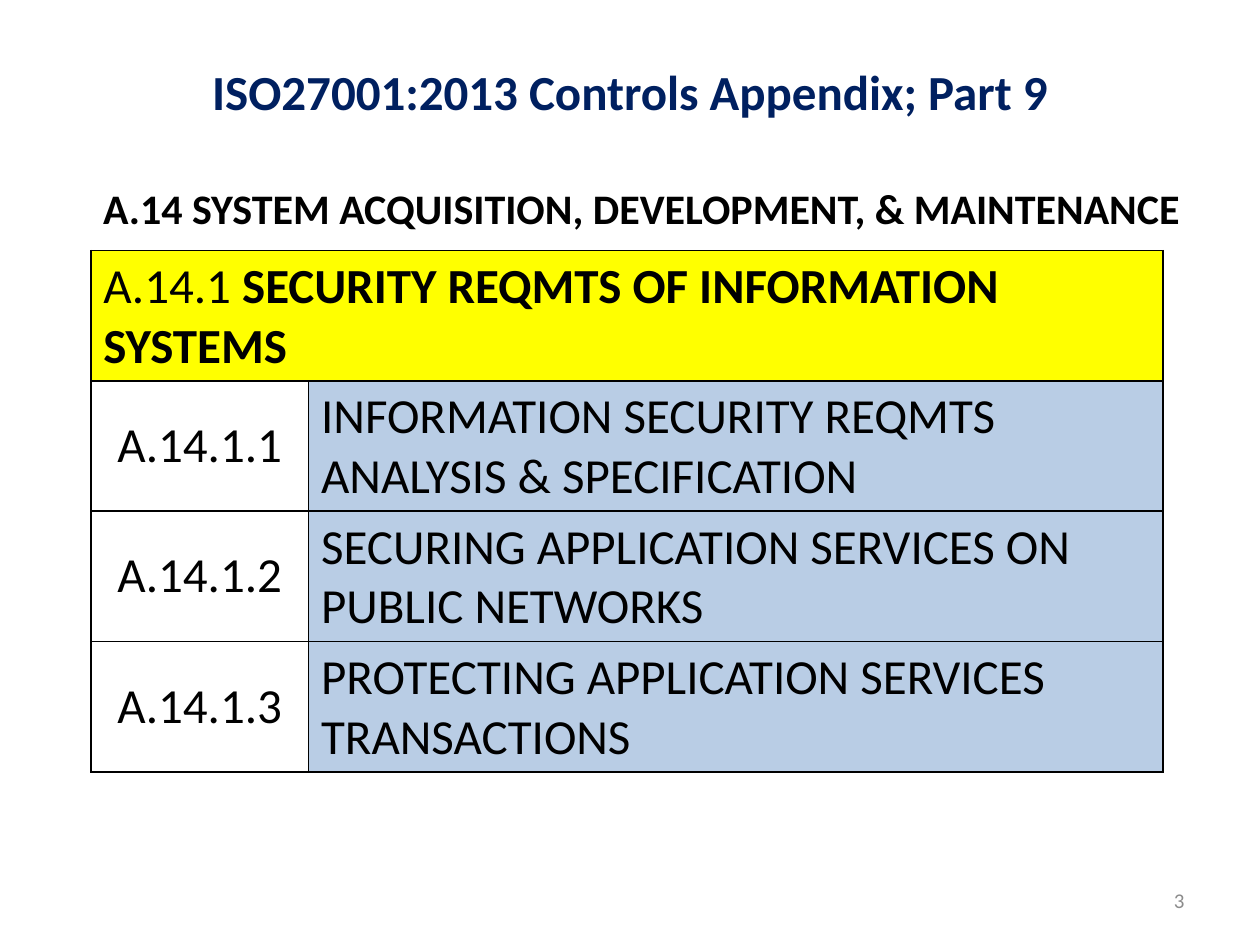
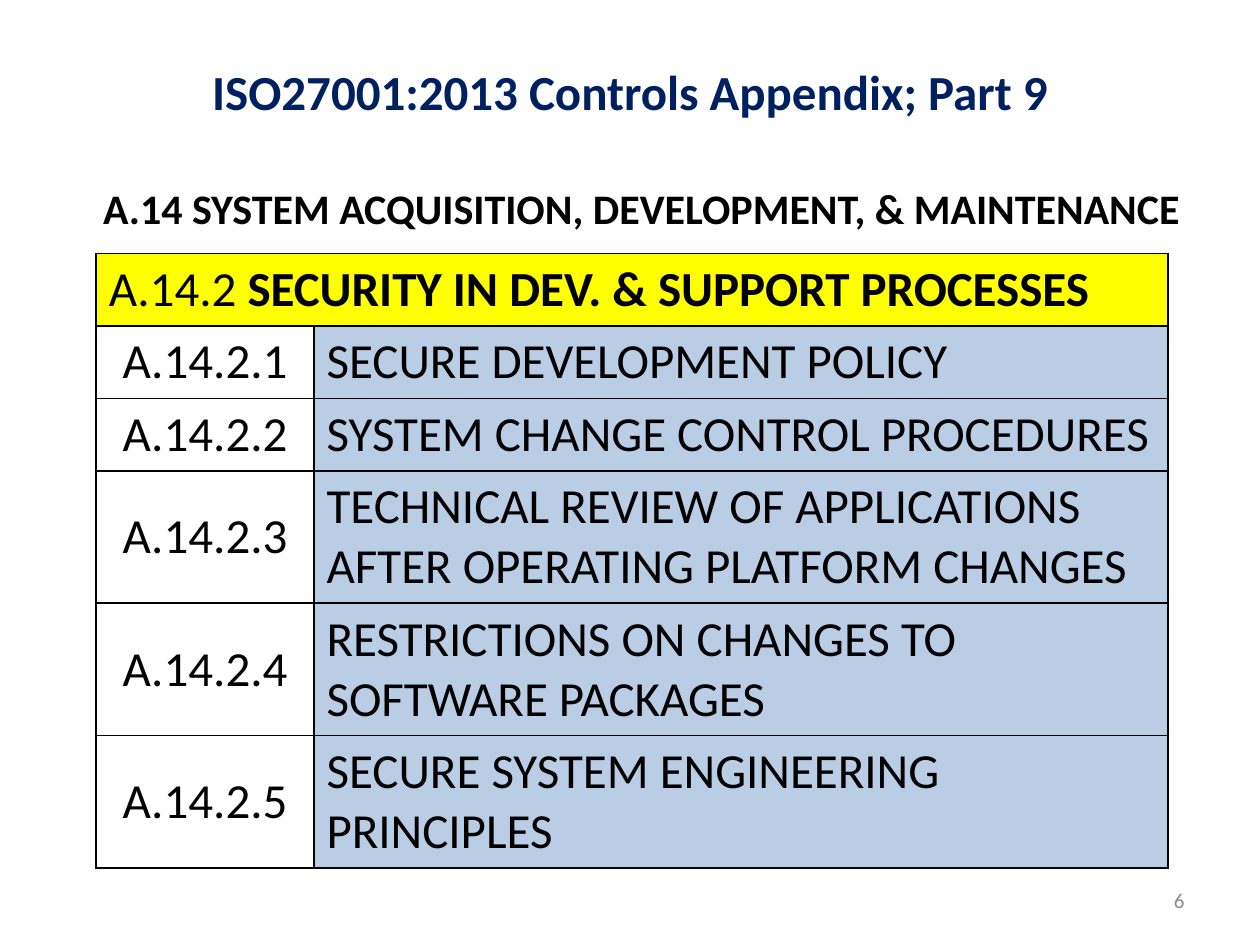
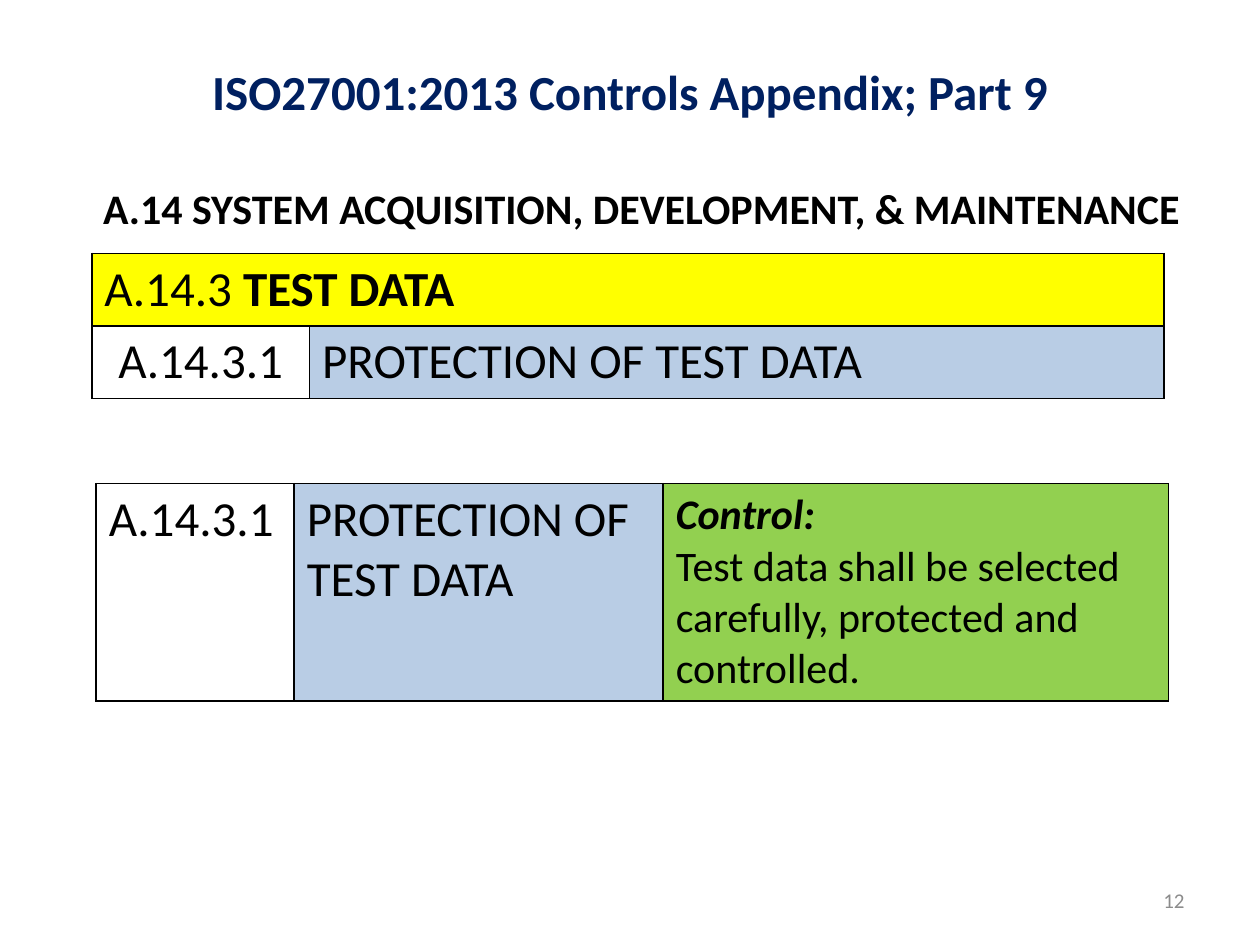
from dataclasses import dataclass

from lxml.etree import SubElement
from pptx import Presentation
from pptx.dml.color import RGBColor
from pptx.enum.text import MSO_ANCHOR as Anchor, MSO_AUTO_SIZE as AutoSize, PP_ALIGN as Align
from pptx.oxml import parse_xml
from pptx.oxml.ns import nsdecls, qn
from pptx.util import Cm, Pt


@dataclass(frozen=True)
class Theme:
    font: str = "Calibri"
    ink: str = "000000"
    navy: str = "002060"
    gray: str = "8C8C8C"
    yellow: str = "FFFF00"
    blue: str = "B9CDE5"
    green: str = "92D050"
    large: int = 28
    medium: int = 24
    small: int = 12
    border: int = 1


@dataclass(frozen=True)
class Run:
    text: str
    size: int = Theme.large
    color: str = Theme.ink
    bold: bool = False
    italic: bool = False


@dataclass(frozen=True)
class Cell:
    paragraphs: tuple
    fill: str = ""
    align: Align = Align.LEFT
    anchor: Anchor = Anchor.TOP
    span: int = 1


class Deck:
    def __init__(self, theme):
        self.theme = theme
        self.prs = Presentation()
        self.prs.slide_width, self.prs.slide_height = Cm(25.4), Cm(19.05)
        self.slide = None

    def add_runs(self, frame, paragraphs, align=Align.LEFT):
        for index, runs in enumerate(paragraphs):
            paragraph = frame.add_paragraph() if index else frame.paragraphs[0]
            paragraph.alignment = align
            for item in runs:
                run = paragraph.add_run()
                run.text = item.text
                font = run.font
                font.name, font.size = self.theme.font, Pt(item.size)
                font.bold, font.italic = item.bold, item.italic
                font.color.rgb = RGBColor.from_string(item.color)

    def text(self, area, run, align=Align.LEFT, anchor=Anchor.MIDDLE, wrap=True):
        frame = self.slide.shapes.add_textbox(*map(Cm, area)).text_frame
        frame.word_wrap = wrap
        frame.auto_size = AutoSize.NONE if wrap else AutoSize.SHAPE_TO_FIT_TEXT
        frame.vertical_anchor = anchor
        self.add_runs(frame, [[run]], align)

    def page(self, number):
        theme = self.theme
        self.slide = self.prs.slides.add_slide(self.prs.slide_layouts[6])
        self.text((18.2, 17.65, 5.93, 1.01), Run(str(number), theme.small, theme.gray), Align.RIGHT)
        self.text((1.27, 0.58, 22.86, 2.49),
                  Run("ISO27001:2013 Controls Appendix; Part 9", theme.large, theme.navy, True),
                  Align.CENTER)
        self.text((1.83, 3.56, 22.43, 1.27),
                  Run("A.14 SYSTEM ACQUISITION, DEVELOPMENT, & MAINTENANCE", theme.medium, bold=True),
                  anchor=Anchor.TOP, wrap=False)

    def outline(self, cell):
        properties = cell._tc.get_or_add_tcPr()
        for index, side in enumerate(("lnL", "lnR", "lnT", "lnB")):
            line = parse_xml(f'<a:{side} {nsdecls("a")} w="{Pt(self.theme.border)}"/>')
            fill = SubElement(line, qn("a:solidFill"))
            SubElement(fill, qn("a:srgbClr"), val=self.theme.ink)
            properties.insert(index, line)

    def table(self, left, top, widths, heights, rows):
        table = self.slide.shapes.add_table(
            len(rows), len(widths), Cm(left), Cm(top), Cm(sum(widths)), Cm(sum(heights))).table
        table.first_row = table.horz_banding = False
        for column, width in zip(table.columns, widths):
            column.width = Cm(width)
        for row, height in zip(table.rows, heights):
            row.height = Cm(height)
        for cell in table.iter_cells():
            cell.fill.background()
            self.outline(cell)
        for r, row in enumerate(rows):
            for c, content in enumerate(row):
                cell = table.cell(r, c)
                if content.span > 1:
                    cell.merge(table.cell(r, c + content.span - 1))
                if content.fill:
                    cell.fill.solid()
                    cell.fill.fore_color.rgb = RGBColor.from_string(content.fill)
                cell.vertical_anchor = content.anchor
                self.add_runs(cell.text_frame, content.paragraphs, content.align)

    def controls(self, left, top, heights, section, heading, names):
        theme = self.theme
        rows = [[Cell(((Run(f"{section} "), Run(heading, bold=True)),), theme.yellow, span=2)]]
        for number, name in enumerate(names, 1):
            rows.append([
                Cell(((Run(f"{section}.{number}"),),), align=Align.CENTER, anchor=Anchor.MIDDLE),
                Cell(((Run(name),),), theme.blue, anchor=Anchor.MIDDLE)])
        self.table(left, top, (4.39, 17.22), heights, rows)

    def control_detail(self, left, top, height, code, name, requirement):
        theme = self.theme
        label = Run("Control:", theme.medium, bold=True, italic=True)
        self.table(left, top, (3.99, 7.44, 10.19), (height,), [[
            Cell(((Run(code),),)),
            Cell(((Run(name),),), theme.blue),
            Cell(((label,), (Run(requirement, theme.medium),)), theme.green)]])


def main():
    deck = Deck(Theme())

    deck.page(3)
    deck.controls(1.83, 5.05, [2.62] * 4, "A.14.1", "SECURITY REQMTS OF INFORMATION SYSTEMS", [
        "INFORMATION SECURITY REQMTS ANALYSIS & SPECIFICATION",
        "SECURING APPLICATION SERVICES ON PUBLIC NETWORKS",
        "PROTECTING APPLICATION SERVICES TRANSACTIONS"])

    deck.page(6)
    deck.controls(1.94, 5.11, [1.46] * 3 + [2.67] * 3, "A.14.2", "SECURITY IN DEV. & SUPPORT PROCESSES", [
        "SECURE DEVELOPMENT POLICY",
        "SYSTEM CHANGE CONTROL PROCEDURES",
        "TECHNICAL REVIEW OF APPLICATIONS AFTER OPERATING PLATFORM CHANGES",
        "RESTRICTIONS ON CHANGES TO SOFTWARE PACKAGES",
        "SECURE SYSTEM ENGINEERING PRINCIPLES"])

    deck.page(12)
    deck.controls(1.85, 5.11, [1.46] * 2, "A.14.3", "TEST DATA", ["PROTECTION OF TEST DATA"])
    deck.control_detail(1.94, 9.75, 4.38, "A.14.3.1", "PROTECTION OF TEST DATA",
                        "Test data shall be selected carefully, protected and controlled.")

    deck.prs.save("out.pptx")


if __name__ == "__main__":
    main()
